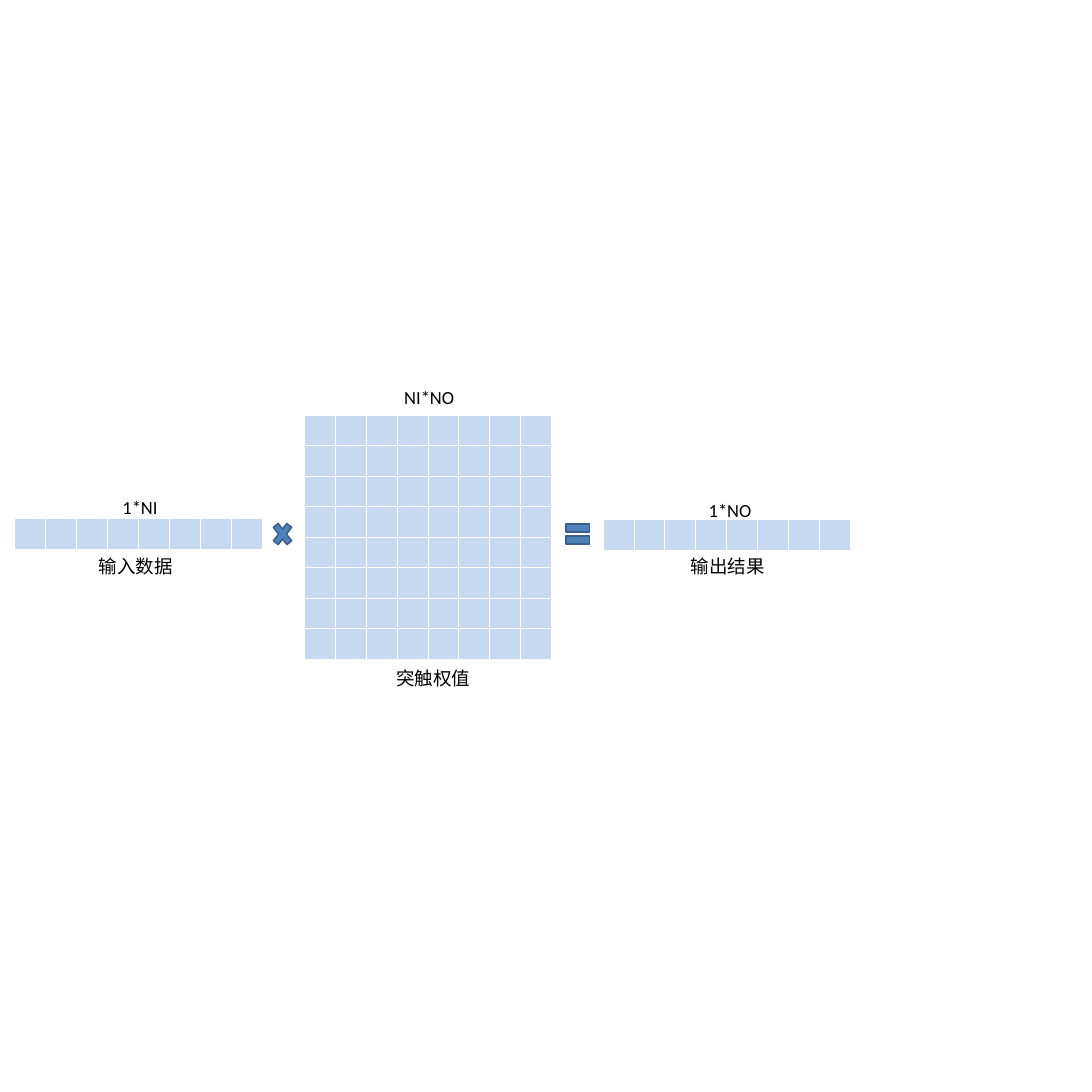
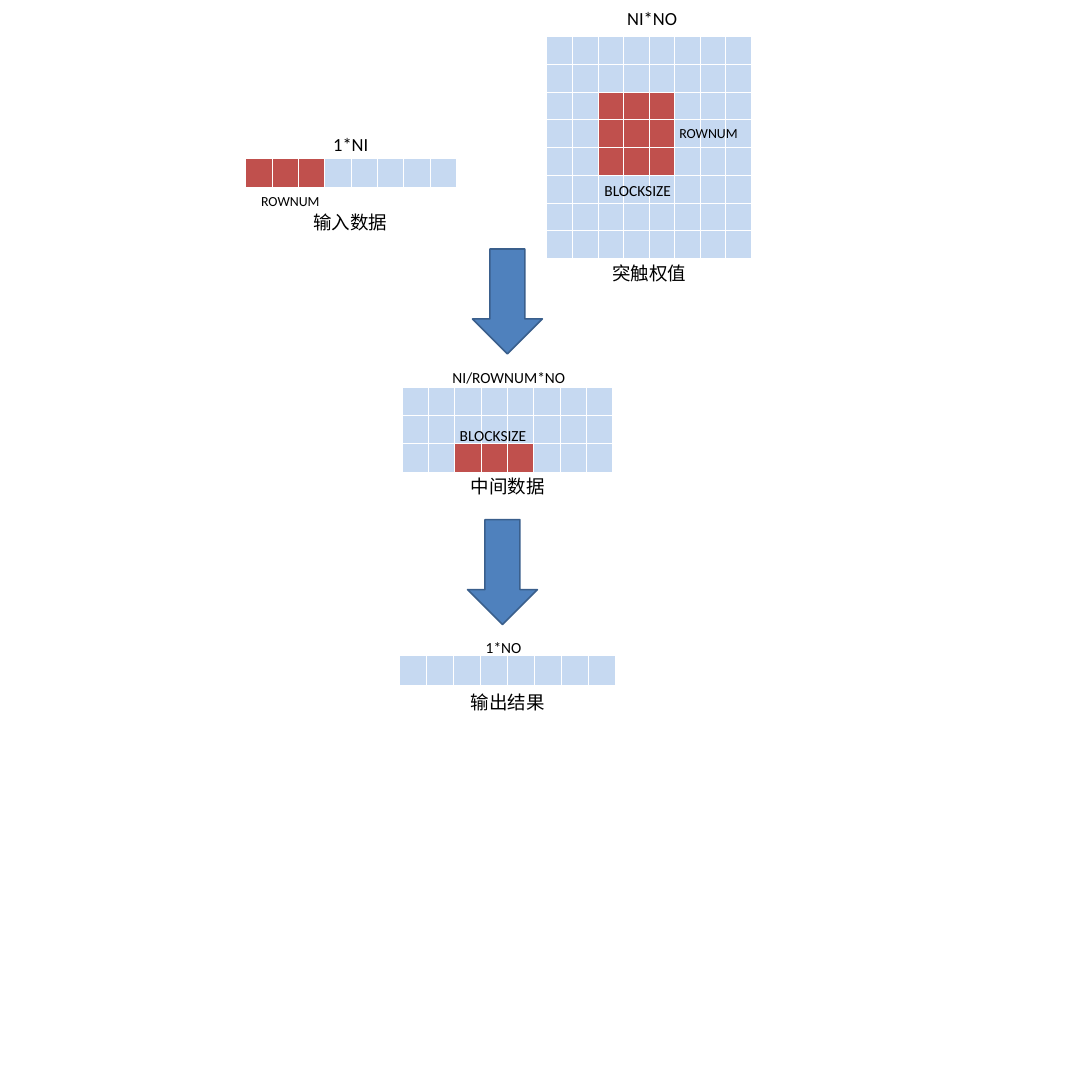
from dataclasses import dataclass
from itertools import product

from lxml import etree
from pptx import Presentation
from pptx.dml.color import RGBColor
from pptx.enum.shapes import MSO_SHAPE
from pptx.oxml.ns import qn
from pptx.util import Pt

DOWN = MSO_SHAPE.DOWN_ARROW
TIMES = MSO_SHAPE.MATH_MULTIPLY
EQUAL = MSO_SHAPE.MATH_EQUAL
PX = 9144  # 100 px to the inch
COLS = 8
BLANK = 6


@dataclass(frozen=True)
class Theme:
    cell: str = "C6D9F1"
    hot: str = "C0504D"
    sign: str = "4F81BD"
    edge: str = "3A5F8C"
    rule: str = "FFFFFF"
    ink: str = "000000"
    latin: str = "Calibri"
    han: str = "Noto Sans CJK SC"
    big: int = 24
    mid: int = 20
    small: int = 18


T = Theme()
TALL = {T.big: 50, T.mid: 44, T.small: 40}


def rgb(code):
    return RGBColor.from_string(code)


def emu(*vals):
    return [v * PX for v in vals]


def label(slide, x, y, w, text, size=T.big):
    box = slide.shapes.add_textbox(*emu(x, y, w, TALL[size]))
    frame = box.text_frame
    frame.word_wrap = True
    frame.margin_right = 0
    frame.text = text
    run = frame.paragraphs[0].runs[0]
    font = run.font
    font.size = Pt(size)
    font.color.rgb = rgb(T.ink)
    font.name = T.latin if text.isascii() else T.han
    east = etree.SubElement(run._r.get_or_add_rPr(), qn("a:ea"))
    east.set("typeface", T.han)


def sign(slide, kind, x, y, w, h):
    """Draw an operator or a flow arrow."""
    shape = slide.shapes.add_shape(kind, *emu(x, y, w, h))
    shape.shadow.inherit = False
    shape.fill.solid()
    shape.fill.fore_color.rgb = rgb(T.sign)
    shape.line.color.rgb = rgb(T.edge)
    shape.line.width = Pt(2)


def paint(cell, color):
    """Rule the four sides of a cell, then fill it."""
    props = cell._tc.get_or_add_tcPr()
    for side in ("lnL", "lnR", "lnT", "lnB"):
        line = etree.SubElement(props, qn(f"a:{side}"), w=str(Pt(1)))
        fill = etree.SubElement(line, qn("a:solidFill"))
        etree.SubElement(fill, qn("a:srgbClr"), val=T.rule)
    cell.fill.solid()
    cell.fill.fore_color.rgb = rgb(color)


def matrix(slide, box, rows, labels, hot=((), ())):
    """Draw a grid in box; labels are offset from its corner,
    hot holds the marked rows and columns."""
    x, y, w, h = box
    table = slide.shapes.add_table(rows, COLS, *emu(x, y, w, h)).table
    table.first_row = table.horz_banding = False
    for col in table.columns:
        col.width = w * PX // COLS
    for row in table.rows:
        row.height = h * PX // rows
    for r, c in product(range(rows), range(COLS)):
        marked = r in hot[0] and c in hot[1]
        paint(table.cell(r, c), T.hot if marked else T.cell)
    for dx, dy, *rest in labels:
        label(slide, x + dx, y + dy, *rest)


def product_slide(slide):
    sign(slide, TIMES, 486, 933, 47, 60)
    sign(slide, EQUAL, 1013, 933, 58, 60)
    matrix(slide, (26, 935, 447, 55), 1,
           [(185, -46, 114, "1*NI"), (142, 61, 200, "输入数据")])
    matrix(slide, (548, 748, 447, 441), 8,
           [(171, -57, 112, "NI*NO"), (157, 449, 189, "突触权值")])
    matrix(slide, (1087, 937, 447, 55), 1,
           [(181, -42, 128, "1*NO"), (149, 59, 179, "输出结果")])


def block_slide(slide):
    mark = range(2, 5)
    sign(slide, DOWN, 852, 449, 126, 189)
    sign(slide, DOWN, 843, 937, 126, 189)
    matrix(slide, (443, 286, 380, 51), 1,
           [(148, -51, 186, "1*NI"),
            (18, 57, 129, "ROWNUM", T.small),
            (112, 90, 165, "输入数据")],
           ([0], range(3)))
    matrix(slide, (986, 66, 369, 400), 8,
           [(135, -58, 126, "NI*NO"),
            (229, 154, 126, "ROWNUM", T.small),
            (94, 255, 143, "BLOCKSIZE", T.mid),
            (108, 401, 153, "突触权值")],
           (mark, mark))
    matrix(slide, (725, 698, 380, 153), 3,
           [(81, -40, 242, "NI/ROWNUM*NO", T.mid),
            (94, 66, 143, "BLOCKSIZE", T.mid),
            (114, 153, 153, "中间数据")],
           ([2], mark))
    matrix(slide, (720, 1181, 390, 55), 1,
           [(146, -36, 85, "1*NO", T.mid), (119, 60, 153, "输出结果")])


def main():
    deck = Presentation()
    deck.slide_width = deck.slide_height = 1969 * PX
    for build in (product_slide, block_slide):
        build(deck.slides.add_slide(deck.slide_layouts[BLANK]))
    deck.save("out.pptx")


if __name__ == "__main__":
    main()
